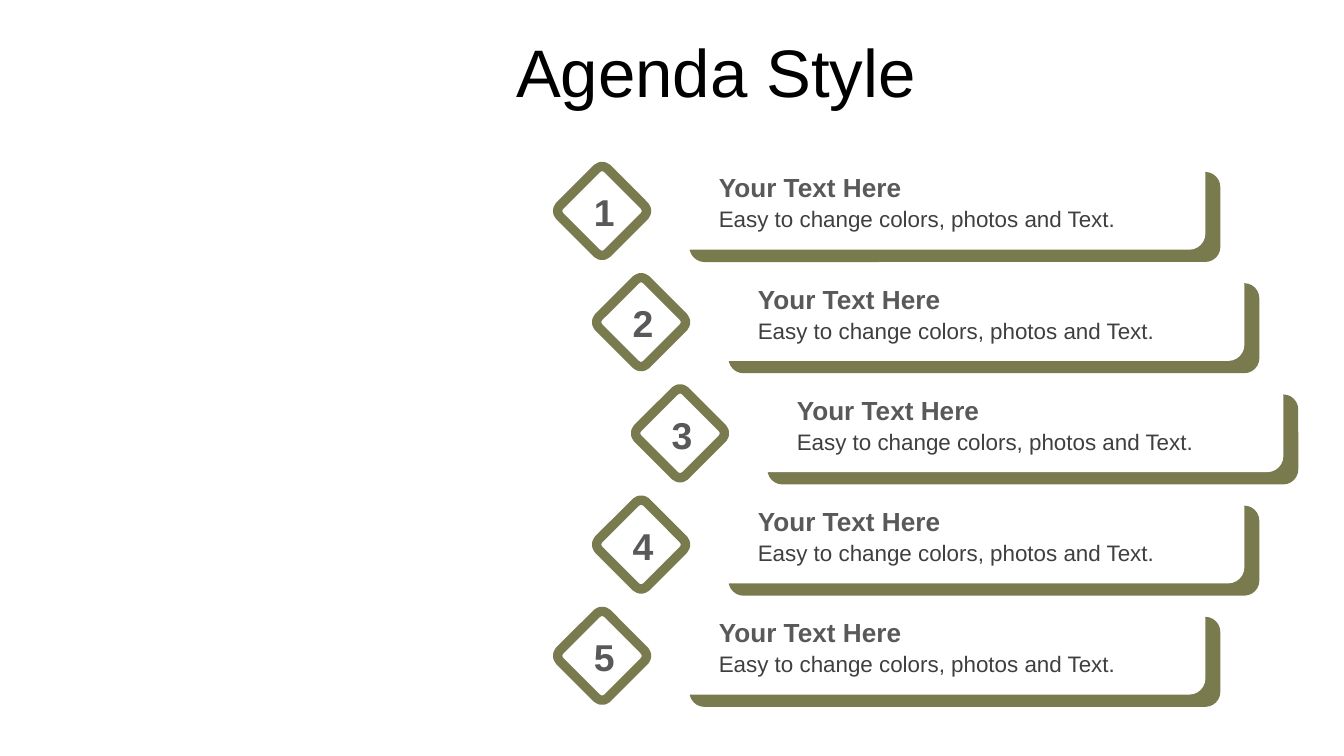
from pptx import Presentation
from pptx.dml.color import RGBColor
from pptx.enum.shapes import MSO_SHAPE
from pptx.enum.text import MSO_ANCHOR, PP_ALIGN
from pptx.util import Inches, Pt

ROUNDED = MSO_SHAPE.ROUNDED_RECTANGLE
LEFT, CENTER = PP_ALIGN.LEFT, PP_ALIGN.CENTER
TOP, MIDDLE = MSO_ANCHOR.TOP, MSO_ANCHOR.MIDDLE
OLIVE, WHITE, BLACK = "797B4F", "FFFFFF", "000000"
HEADING_GRAY, BODY_GRAY = "595959", "3F3F3F"


def write_text(shape, text, size, color, bold=False, align=LEFT, anchor=TOP):
    frame = shape.text_frame
    frame.word_wrap = True
    frame.vertical_anchor = anchor
    paragraph = frame.paragraphs[0]
    paragraph.alignment = align
    run = paragraph.add_run()
    run.text = text
    run.font.name = "Arial"
    run.font.size = Pt(size)
    run.font.bold = bold
    run.font.color.rgb = RGBColor.from_string(color)


def add_rounded_box(shapes, left, top, width, height, corner, fill, line=None, line_width=0):
    shape = shapes.add_shape(ROUNDED, Inches(left), Inches(top), Inches(width), Inches(height))
    shape.adjustments[0] = corner
    shape.shadow.inherit = False
    shape.fill.solid()
    shape.fill.fore_color.rgb = RGBColor.from_string(fill)
    if line:
        shape.line.color.rgb = RGBColor.from_string(line)
        shape.line.width = Pt(line_width)
    else:
        shape.line.fill.background()
    return shape


presentation = Presentation()
presentation.slide_width = Inches(10)
presentation.slide_height = Inches(10 * 9 / 16)
slide = presentation.slides.add_slide(presentation.slide_layouts[5])

title = slide.shapes.title
title.left, title.top = Inches(3.74), Inches(0.21)
title.width, title.height = Inches(6.26), Inches(0.63)
write_text(title, "Agenda Style", 36, BLACK, anchor=MIDDLE)

first_left, first_top = 4.23, 1.18
indent_step = 0.29
row_step = 3.31 / 4
indents = [0, 1, 2, 1, 0]

for row, indent in enumerate(indents):
    left = first_left + indent * indent_step
    top = first_top + row * row_step
    item = slide.shapes.add_group_shape().shapes

    add_rounded_box(item, left + 0.9, top + 0.1, 3.95, 0.67, 0.167, OLIVE)
    add_rounded_box(item, left + 0.78, top, 3.95, 0.67, 0.167, WHITE, WHITE, 1.25)

    heading = item.add_textbox(Inches(left + 1.02), Inches(top + 0.05), Inches(3.31), Inches(0.34))
    write_text(heading, "Your Text Here", 14, HEADING_GRAY, bold=True)
    detail = item.add_textbox(Inches(left + 1.02), Inches(top + 0.3), Inches(3.31), Inches(0.3))
    write_text(detail, "Easy to change colors, photos and Text.", 12, BODY_GRAY)

    diamond = add_rounded_box(item, left, top + 0.14, 0.5, 0.5, 0.107, WHITE, OLIVE, 5)
    diamond.rotation = 45
    number = item.add_textbox(Inches(left + 0.09), Inches(top + 0.18), Inches(0.33), Inches(0.44))
    write_text(number, str(row + 1), 20, HEADING_GRAY, bold=True, align=CENTER)

presentation.save("out.pptx")
